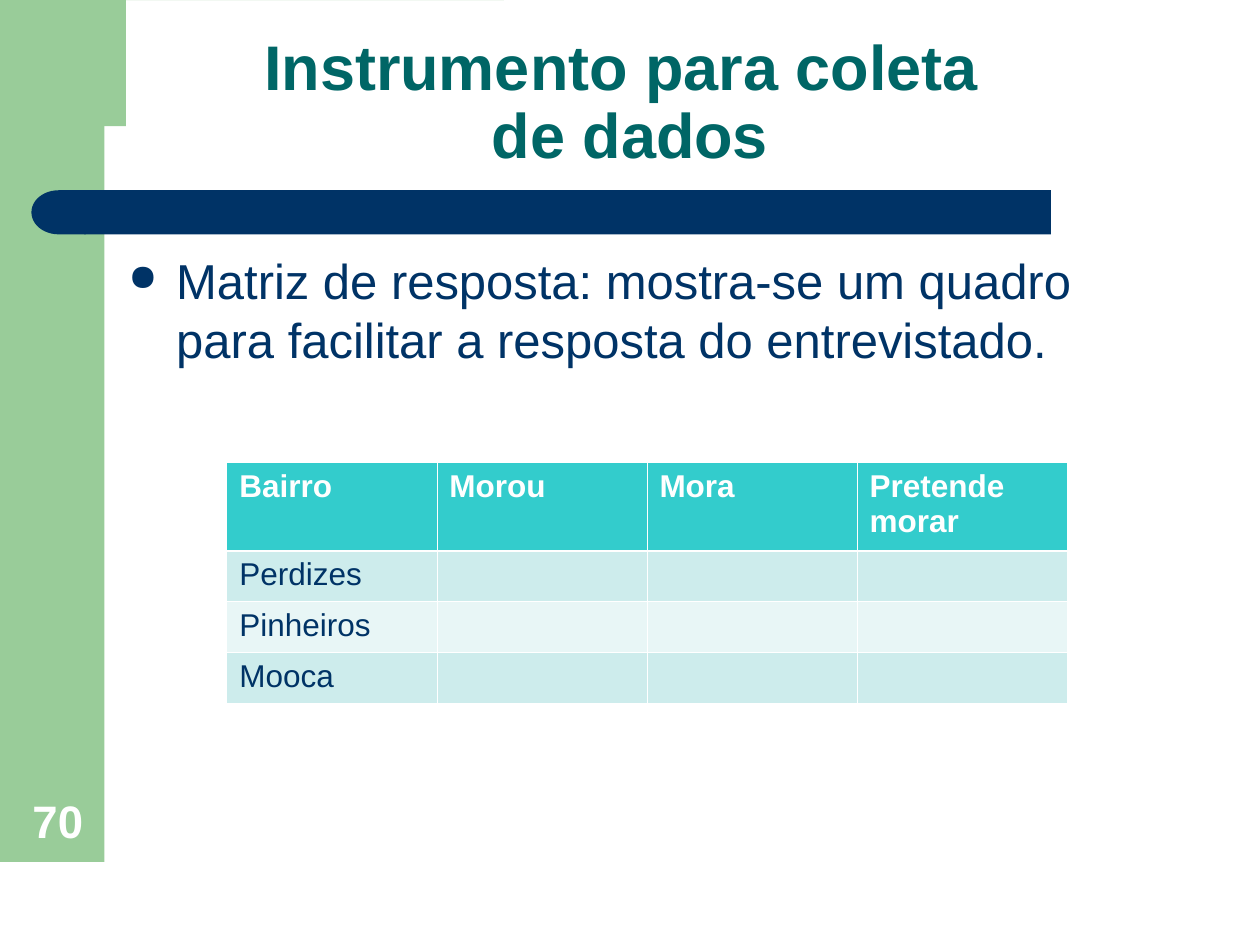
import math
from copy import deepcopy
from dataclasses import dataclass

from lxml import etree
from pptx import Presentation
from pptx import util as u
from pptx.dml import color
from pptx.enum import shapes, text
from pptx.oxml import ns

GREEN, NAVY, TEAL, WHITE = "99CC99", "003366", "006666", "FFFFFF"
HEADER_FILL, BAND_FILLS = "33CCCC", ("CDECEC", "E8F6F6")
HEADINGS = ("Bairro", "Morou", "Mora", "Pretende morar")
DISTRICTS = ("Perdizes", "Pinheiros", "Mooca")
THIN, THICK = 0.45, 1.47


@dataclass
class Area:
    left: float
    top: float
    width: float
    height: float

    def lengths(self) -> list:
        return [u.Inches(v) for v in (self.left, self.top, self.width, self.height)]


@dataclass
class Bar:
    kind: shapes.MSO_SHAPE
    area: Area
    fill: str
    flipped: bool = False


BARS = (
    Bar(shapes.MSO_SHAPE.RECTANGLE, Area(0, -0.66, 0.83, 7.5), GREEN),
    Bar(shapes.MSO_SHAPE.RECTANGLE, Area(0.67, 1.51, 7.67, 0.35), NAVY),
    Bar(shapes.MSO_SHAPE.FLOWCHART_DELAY, Area(0.25, 1.51, 0.43, 0.35), NAVY, True),
)


def rgb(value: str) -> color.RGBColor:
    return color.RGBColor.from_string(value)


def paint(shape, fill: str) -> None:
    shape.shadow.inherit = False
    shape.fill.solid()
    shape.fill.fore_color.rgb = rgb(fill)
    shape.line.fill.background()


def write(para, words: str, size: float, ink: str, bold: bool = False) -> None:
    """Add the words as Arial runs; a vertical tab makes a line break."""
    for index, line in enumerate(words.split("\v")):
        if index:
            para.add_line_break()
        span = para.add_run()
        span.text = line
        for name, value in {"name": "Arial", "size": u.Pt(size), "bold": bold}.items():
            setattr(span.font, name, value)
        span.font.color.rgb = rgb(ink)
    for line_break in para._p.findall(ns.qn("a:br")):
        line_break.append(deepcopy(span.font._element))


def draw_bar(slide, bar: Bar) -> None:
    shape = slide.shapes.add_shape(bar.kind, *bar.area.lengths())
    paint(shape, bar.fill)
    if bar.flipped:
        shape._element.spPr.find(ns.qn("a:xfrm")).set("flipH", "1")


def draw_corner(slide) -> None:
    """Draw the top band that curves into the sidebar."""
    radius, steps = 0.33, 16
    angles = [math.pi / 2 * step / steps for step in range(steps + 1)]
    curve = [(1.16 - radius * math.sin(a), 0.5 - radius * math.cos(a)) for a in angles]
    outline = [(3.5, 0.17), *curve, (0.83, 0.62), (0.5, 0.62), (0.5, -0.66)]
    builder = slide.shapes.build_freeform(3.5, -0.66, scale=u.Inches(1))
    builder.add_line_segments(outline, close=True)
    paint(builder.convert_to_shape(), GREEN)


def add_text_box(slide, area: Area, anchor: text.MSO_ANCHOR):
    frame = slide.shapes.add_textbox(*area.lengths()).text_frame
    frame.word_wrap = True
    frame.vertical_anchor = anchor
    return frame.paragraphs[0]


def add_bullet(para, ink: str) -> None:
    props = para._p.get_or_add_pPr()
    props.set("marL", str(u.Inches(0.38)))
    props.set("indent", str(-u.Inches(0.38)))
    tint = etree.SubElement(props, ns.qn("a:buClr"))
    etree.SubElement(tint, ns.qn("a:srgbClr"), val=ink)
    etree.SubElement(props, ns.qn("a:buSzPct"), val="75000")
    etree.SubElement(props, ns.qn("a:buChar"), char="●")


def set_border(cell, side: str, points: float) -> None:
    line = etree.SubElement(cell._tc.get_or_add_tcPr(), ns.qn(f"a:{side}"), w=str(u.Pt(points)))
    fill = etree.SubElement(line, ns.qn("a:solidFill"))
    etree.SubElement(fill, ns.qn("a:srgbClr"), val=WHITE)


def draw_table(slide) -> None:
    rows = [HEADINGS] + [(name, "", "", "") for name in DISTRICTS]
    area = Area(1.8, 3.67, 6.67, 1.92)
    table = slide.shapes.add_table(len(rows), len(HEADINGS), *area.lengths()).table
    for column in table.columns:
        column.width = u.Inches(area.width / len(HEADINGS))
    for r, words in enumerate(rows):
        header = r == 0
        table.rows[r].height = u.Inches(0.7 if header else 0.405)
        for c, word in enumerate(words):
            cell = table.cell(r, c)
            for side in ("lnL", "lnR", "lnT", "lnB"):
                heavy = (r, side) in ((0, "lnB"), (1, "lnT"))
                set_border(cell, side, THICK if heavy else THIN)
            cell.fill.solid()
            cell.fill.fore_color.rgb = rgb(HEADER_FILL if header else BAND_FILLS[(r - 1) % 2])
            if word:
                write(cell.text_frame.paragraphs[0], word, 18, WHITE if header else NAVY, header)


def place_title(slide) -> None:
    title = slide.shapes.title
    title.left, title.top, title.width, title.height = Area(0.71, 0.8, 8.58, 0.62).lengths()
    frame = title.text_frame
    frame.auto_size = text.MSO_AUTO_SIZE.NONE
    frame.vertical_anchor = text.MSO_ANCHOR.BOTTOM
    para = frame.paragraphs[0]
    para.alignment = text.PP_ALIGN.CENTER
    para.line_spacing = 0.9
    write(para, "Instrumento para coleta \vde dados", 36, TEAL, True)


def main() -> None:
    deck = Presentation()
    deck.slide_width, deck.slide_height = u.Inches(10), u.Inches(7.5)
    slide = deck.slides.add_slide(deck.slide_layouts[5])
    for bar in BARS:
        draw_bar(slide, bar)
    draw_corner(slide)
    place_title(slide)
    body = add_text_box(slide, Area(0.92, 1.94, 8.41, 4.72), text.MSO_ANCHOR.TOP)
    add_bullet(body, NAVY)
    write(body, "Matriz de resposta: mostra-se um quadro para facilitar "
          "a resposta do entrevistado.", 28, NAVY)
    number = add_text_box(slide, Area(0.16, 6.25, 0.64, 0.53), text.MSO_ANCHOR.BOTTOM)
    write(number, "70", 26, WHITE, True)
    draw_table(slide)
    deck.save("out.pptx")


if __name__ == "__main__":
    main()
